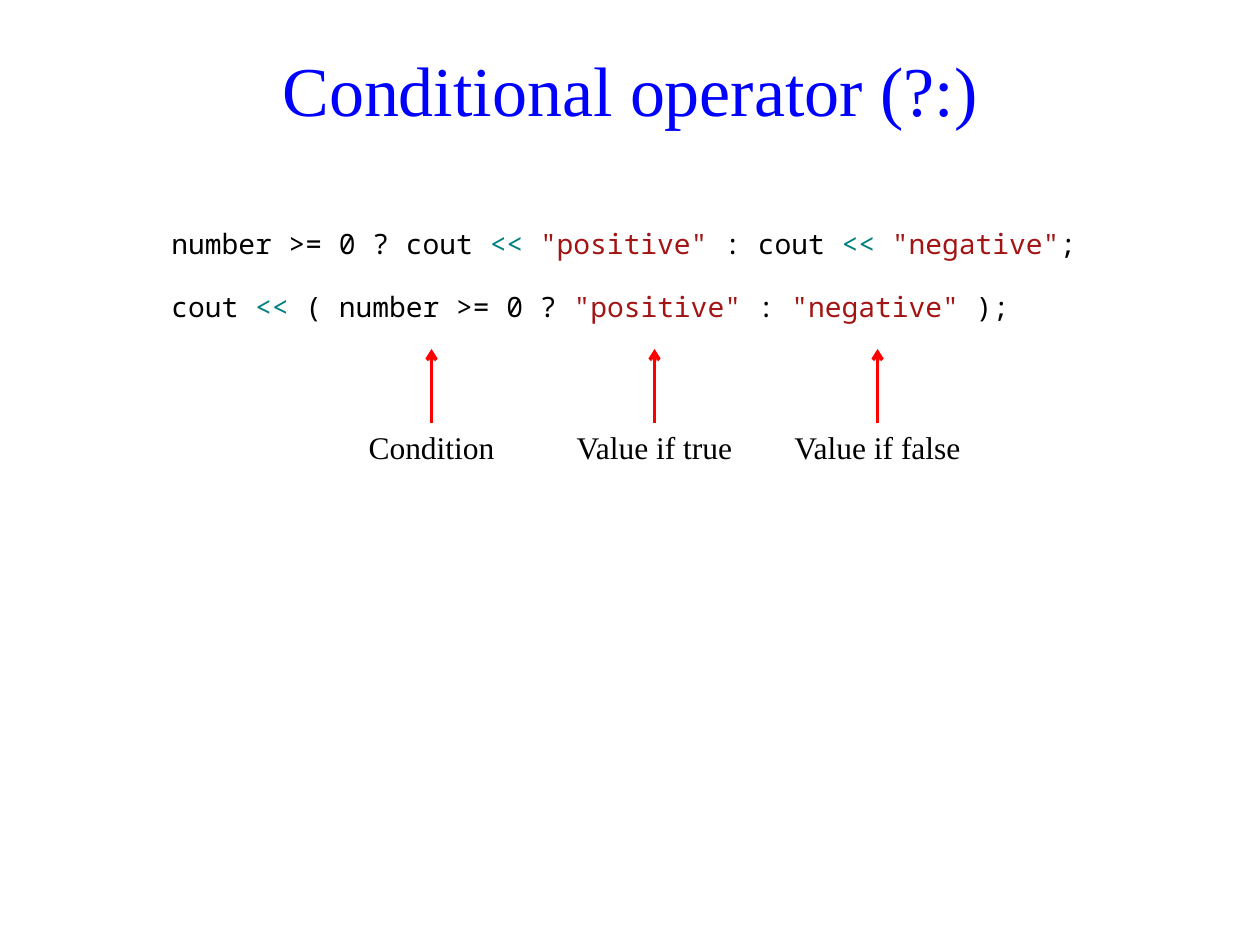
import pptx
import pptx.dml.color
import pptx.enum.shapes
import pptx.enum.text
import pptx.oxml
import pptx.oxml.ns
import pptx.util
from lxml import etree

Inches, Pt = pptx.util.Inches, pptx.util.Pt
RGBColor = pptx.dml.color.RGBColor
BLUE = RGBColor(0x00, 0x00, 0xFF)
BLACK = RGBColor(0x00, 0x00, 0x00)
TEAL = RGBColor(0x00, 0x80, 0x80)
BRICK = RGBColor(0xA3, 0x15, 0x15)
RED = RGBColor(0xFF, 0x00, 0x00)

SERIF, MONO = "Times New Roman", "Noto Sans Mono"
CENTER = pptx.enum.text.PP_ALIGN.CENTER

LABEL_LEFT, LABEL_TOP, LABEL_STEP = 2.64, 3.36, 1.77
LABEL_WIDTH, LABEL_HEIGHT = 1.57, 0.39
ARROW_TIP = 2.77

STATEMENTS = [
    [("number >= 0 ? cout ", BLACK), ("<< ", TEAL), ('"positive"', BRICK),
     (" : cout ", BLACK), ("<< ", TEAL), ('"negative"', BRICK), (";", BLACK)],
    [("cout ", BLACK), ("<<", TEAL), (" ( number >= 0 ? ", BLACK),
     ('"positive"', BRICK), (" : ", BLACK), ('"negative"', BRICK),
     (" );", BLACK)],
]
OPERANDS = ["Condition", "Value if true", "Value if false"]


def set_all(target, values):
    for name, value in values.items():
        setattr(target, name, value)


def place(shape, left, top, width, height):
    set_all(shape, {"left": Inches(left), "top": Inches(top),
                    "width": Inches(width), "height": Inches(height)})


def add_run(paragraph, text, font, size, color):
    run = paragraph.add_run()
    run.text = text
    set_all(run.font, {"name": font, "size": Pt(size)})
    run.font.color.rgb = color


def fill_title(title, text):
    place(title, 0.67, 0.21, 8.66, 0.98)
    title.text_frame.vertical_anchor = pptx.enum.text.MSO_ANCHOR.MIDDLE
    heading = title.text_frame.paragraphs[0]
    heading.alignment = CENTER
    add_run(heading, text, SERIF, 40, BLUE)


def fill_code(body, statements):
    place(body, 1.26, 1.78, 7.48, 0.98)
    frame = body.text_frame
    for number, statement in enumerate(statements):
        line = frame.add_paragraph() if number else frame.paragraphs[0]
        properties = line._p.get_or_add_pPr()
        properties.set("marL", "0")
        properties.set("indent", "0")
        etree.SubElement(properties, pptx.oxml.ns.qn("a:buNone"))
        set_all(line, {"line_spacing": 0.9,
                       "space_before": Pt(18.7 if number else 0)})
        for text, color in statement:
            add_run(line, text, MONO, 16, color)


def add_label(slide, column, text):
    label = slide.shapes.add_textbox(
        Inches(LABEL_LEFT + column * LABEL_STEP), Inches(LABEL_TOP),
        Inches(LABEL_WIDTH), Inches(LABEL_HEIGHT))
    set_all(label.text_frame, {
        "word_wrap": True,
        "auto_size": pptx.enum.text.MSO_AUTO_SIZE.SHAPE_TO_FIT_TEXT,
        "margin_left": Inches(0.1), "margin_right": Inches(0.1),
        "margin_top": Inches(0.04), "margin_bottom": Inches(0.04)})
    caption = label.text_frame.paragraphs[0]
    caption.alignment = CENTER
    add_run(caption, text, SERIF, 18, BLACK)
    return label


def add_arrow_above(slide, label):
    middle = label.left + label.width // 2
    arrow = slide.shapes.add_connector(
        pptx.enum.shapes.MSO_CONNECTOR.STRAIGHT,
        middle, label.top, middle, Inches(ARROW_TIP))
    arrow.begin_connect(label, 0)
    arrow.line.color.rgb = RED
    arrow.line.width = Pt(2)
    qn = pptx.oxml.ns.qn
    etree.SubElement(arrow.line._get_or_add_ln(), qn("a:tailEnd"), type="arrow")
    etree.SubElement(arrow._element.spPr, qn("a:effectLst"))


def main():
    deck = pptx.Presentation()
    set_all(deck, {"slide_width": Inches(10), "slide_height": Inches(7.5)})
    slide = deck.slides.add_slide(deck.slide_layouts[1])
    fill_title(slide.shapes.title, "Conditional operator (?:)")
    fill_code(slide.placeholders[1], STATEMENTS)
    labels = [add_label(slide, column, text)
              for column, text in enumerate(OPERANDS)]
    for label in labels:
        add_arrow_above(slide, label)
    deck.save("out.pptx")


if __name__ == "__main__":
    main()
